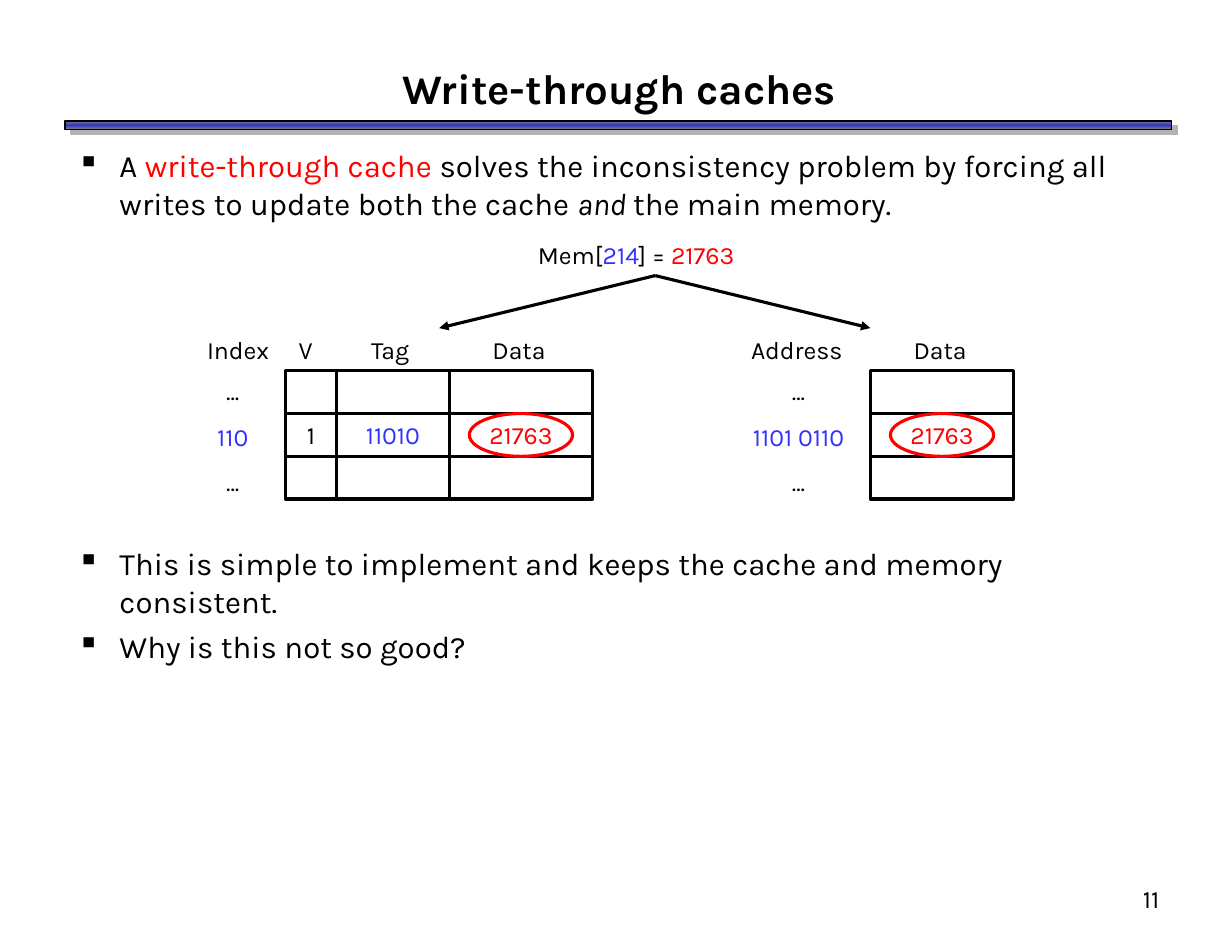
import copy
import itertools
from dataclasses import dataclass

import lxml.etree
import pptx
import pptx.dml.color
import pptx.enum.shapes
import pptx.enum.text
import pptx.oxml.ns
import pptx.util

Cm = pptx.util.Cm
Pt = pptx.util.Pt
qn = pptx.oxml.ns.qn
SHAPE = pptx.enum.shapes.MSO_SHAPE
ALIGN = pptx.enum.text.PP_ALIGN
ANCHOR = pptx.enum.text.MSO_ANCHOR

FONT = "Karla"
BLACK, RED, BLUE = "000000", "FF0000", "3333FF"
ROW_TOP, ROW_HEIGHT, ROW_COUNT = 8.41, 0.97, 3
HEADER_TOP = 7.44
INSETS = {"margin_left": Cm(0.28), "margin_right": Cm(0.28),
          "margin_top": Cm(0.15), "margin_bottom": Cm(0.15)}


@dataclass
class Span:
    text: str
    color: str = BLACK
    bold: bool = False
    italic: bool = False


@dataclass
class Area:
    """A rectangle in centimetres."""
    left: float
    top: float
    width: float
    height: float

    def lengths(self) -> list:
        return [Cm(n) for n in (self.left, self.top, self.width, self.height)]


@dataclass
class Grid:
    """Memory cells; entries are the contents of the middle row."""
    left: float
    widths: list[float]
    entries: list[Span]


@dataclass
class Header:
    text: str
    center: float
    width: float


@dataclass
class RowLabels:
    area: Area
    value: str


GRIDS = [
    Grid(6.48, [1.15, 2.56, 3.25], [Span("1"), Span("11010", BLUE), Span("21763", RED)]),
    Grid(19.74, [3.25], [Span("21763", RED)]),
]
HEADERS = [
    Header("Index", 5.4, 2.06), Header("V", 6.93, 0.91), Header("Tag", 8.85, 1.55),
    Header("Data", 11.77, 1.8), Header("Address", 18.07, 2.72), Header("Data", 21.32, 1.8),
]
ROW_LABELS = [
    RowLabels(Area(4.52, 8.38, 1.52, 3.02), "110"),
    RowLabels(Area(16.46, 8.38, 3.3, 3.02), "1101 0110"),
]
INTRO = [[
    Span("A "), Span("write-through cache", RED),
    Span(" solves the inconsistency problem by forcing all writes to update both the cache "),
    Span("and ", italic=True), Span("the main memory."),
]]
REMARKS = [
    [Span("This is simple to implement and keeps the cache and memory consistent.")],
    [Span("Why is this not so good?")],
]


def rgb(code: str) -> pptx.dml.color.RGBColor:
    return pptx.dml.color.RGBColor.from_string(code)


def apply(target, values: dict) -> None:
    for name, value in values.items():
        setattr(target, name, value)


def add_bullet(para) -> None:
    props = para._p.get_or_add_pPr()
    apply_indent = {"marL": str(Cm(0.96)), "indent": str(Cm(-0.96))}
    for name, value in apply_indent.items():
        props.set(name, value)
    color = lxml.etree.SubElement(props, qn("a:buClr"))
    lxml.etree.SubElement(color, qn("a:srgbClr"), val=BLACK)
    lxml.etree.SubElement(props, qn("a:buChar"), char="▪")


def write(frame, paragraphs: list[list[Span]], size: float = 16, align=ALIGN.CENTER,
          anchor=ANCHOR.MIDDLE, wrap: bool = False, gap: float = 0,
          bullets: bool = False) -> None:
    apply(frame, INSETS | {"word_wrap": wrap, "vertical_anchor": anchor})
    for number, spans in enumerate(paragraphs):
        para = frame.add_paragraph() if number else frame.paragraphs[0]
        if bullets:
            add_bullet(para)
        apply(para, {"alignment": align, "space_before": Pt(gap if number else 0)})
        for span in spans:
            run = para.add_run()
            run.text = span.text
            apply(run.font, {"name": FONT, "size": Pt(size),
                             "bold": span.bold, "italic": span.italic})
            run.font.color.rgb = rgb(span.color)


def add_text(page, area: Area, paragraphs: list[list[Span]], **layout) -> None:
    box = page.shapes.add_textbox(*area.lengths())
    write(box.text_frame, paragraphs, **layout)


def add_outline(page, kind, area: Area, color: str = BLACK, width: float = 2):
    shape = page.shapes.add_shape(kind, *area.lengths())
    shape.shadow.inherit = False
    shape.fill.background()
    shape.line.color.rgb = rgb(color)
    shape.line.width = Pt(width)
    return shape


def add_title_bar(page) -> None:
    bar = add_outline(page, SHAPE.RECTANGLE, Area(1.47, 2.74, 25.1, 0.2), width=1)
    bar.fill.gradient()
    bar.fill.gradient_angle = 90
    props = bar.element.spPr
    stops = props.find(".//" + qn("a:gsLst"))
    stops.append(copy.deepcopy(stops[0]))
    for stop, position, color in zip(bar.fill.gradient_stops, (0, 0.5, 1),
                                     ("808080", "3333CC", "808080")):
        stop.position = position
        stop.color.rgb = rgb(color)
    shadow = lxml.etree.SubElement(props.find(qn("a:effectLst")), qn("a:outerShdw"),
                                   blurRad="0", dist=str(Pt(5)), dir=str(37 * 60000),
                                   algn="ctr", rotWithShape="0")
    lxml.etree.SubElement(shadow, qn("a:srgbClr"), val="B2B2B2")


def add_grid(page, grid: Grid) -> None:
    """Draw the cells and ring the data entry in the last column."""
    lefts = list(itertools.accumulate(grid.widths, initial=grid.left))
    for row in range(ROW_COUNT):
        top = ROW_TOP + row * ROW_HEIGHT
        for left, width, entry in zip(lefts, grid.widths, grid.entries):
            cell = add_outline(page, SHAPE.RECTANGLE, Area(left, top, width, ROW_HEIGHT))
            if row == 1:
                write(cell.text_frame, [[entry]])
    ring_width = 2.34
    ring_left = lefts[-1] - (grid.widths[-1] + ring_width) / 2
    add_outline(page, SHAPE.OVAL,
                Area(ring_left, ROW_TOP + ROW_HEIGHT, ring_width, ROW_HEIGHT), RED)


def add_arrow(page, start: tuple[float, float], end: tuple[float, float]) -> None:
    arrow = page.shapes.add_connector(pptx.enum.shapes.MSO_CONNECTOR.STRAIGHT,
                                      *[Cm(n) for n in start + end])
    arrow.line.color.rgb = rgb(BLACK)
    arrow.line.width = Pt(2)
    lxml.etree.SubElement(arrow.line._get_or_add_ln(), qn("a:tailEnd"), type="triangle")
    lxml.etree.SubElement(arrow.element.spPr, qn("a:effectLst"))


def main() -> None:
    deck = pptx.Presentation()
    apply(deck, {"slide_width": Cm(27.94), "slide_height": Cm(21.59)})
    page = deck.slides.add_slide(deck.slide_layouts[6])

    add_title_bar(page)
    add_text(page, Area(1.47, 1.27, 25.15, 1.45),
             [[Span("Write-through caches", bold=True)]], size=27, wrap=True)
    for top, height, paragraphs in ((3.18, 2, INTRO), (12.2, 3.2, REMARKS)):
        add_text(page, Area(1.47, top, 25.07, height), paragraphs, size=20,
                 align=ALIGN.LEFT, anchor=ANCHOR.TOP, wrap=True, gap=5, bullets=True)

    for grid in GRIDS:
        add_grid(page, grid)
    for header in HEADERS:
        add_text(page, Area(header.center - header.width / 2, HEADER_TOP,
                            header.width, ROW_HEIGHT), [[Span(header.text)]])
    for labels in ROW_LABELS:
        add_text(page, labels.area,
                 [[Span("...")], [Span(labels.value, BLUE)], [Span("...")]], gap=10)

    add_text(page, Area(11.68, 5.28, 5.49, ROW_HEIGHT),
             [[Span("Mem["), Span("214", BLUE), Span("] = "), Span("21763", RED)]])
    for target in (9.96, 19.74):
        add_arrow(page, (14.86, 6.25), (target, HEADER_TOP))

    add_text(page, Area(20.75, 19.89, 5.82, 1.45), [[Span("11")]],
             align=ALIGN.RIGHT, anchor=ANCHOR.TOP, wrap=True)
    deck.save("out.pptx")


if __name__ == "__main__":
    main()
